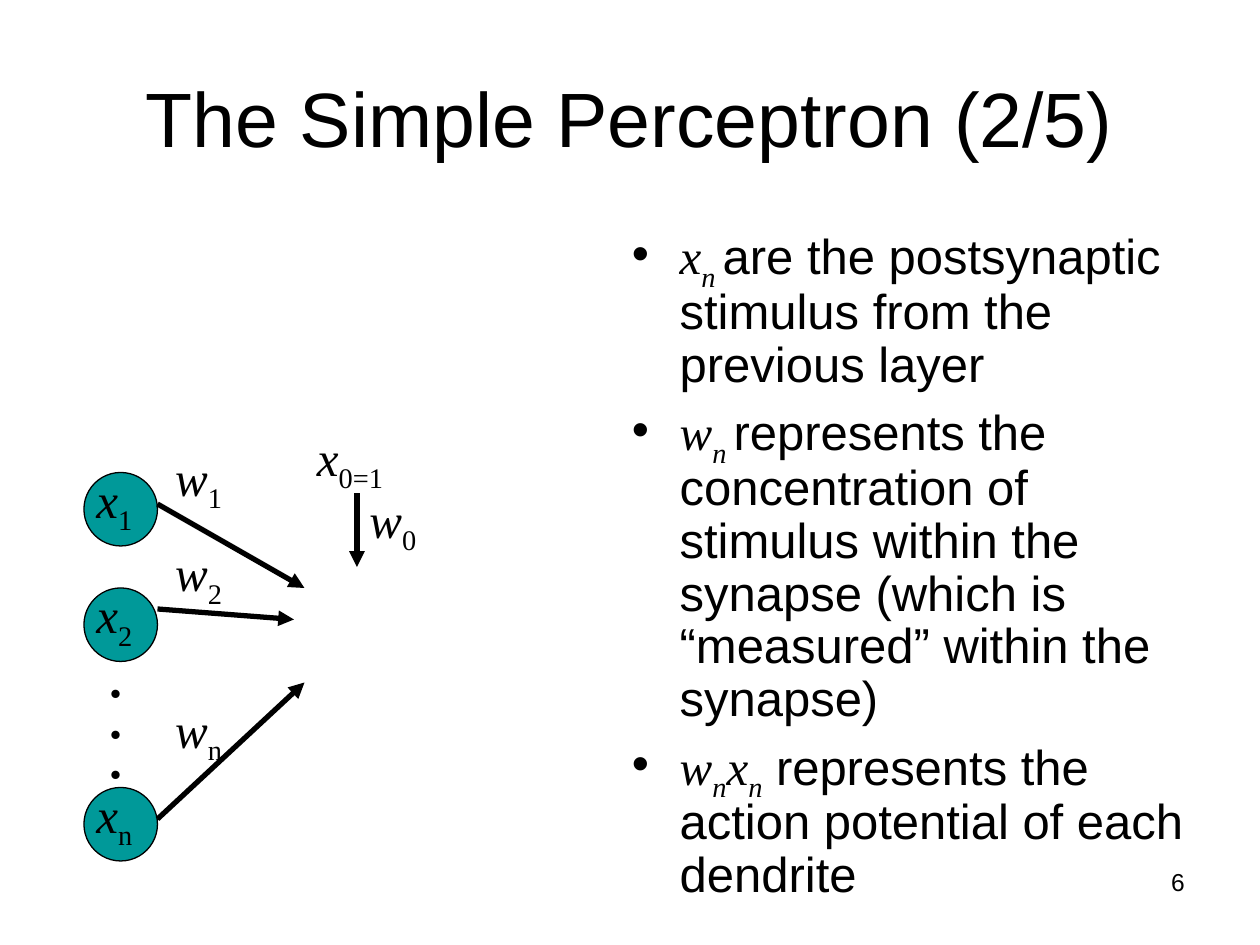
from lxml.etree import SubElement
from pptx import Presentation
from pptx.dml.color import RGBColor
from pptx.enum.shapes import MSO_CONNECTOR as Connector, MSO_SHAPE as Shape
from pptx.enum.text import MSO_ANCHOR as Anchor, PP_ALIGN as Align
from pptx.oxml.ns import qn
from pptx.util import Inches, Pt

COLUMNS, ROWS = 120, 90
WIDTH, HEIGHT = Inches(10), Inches(7.5)
BLACK, TEAL = "000000", "009999"
SANS = {"name": "Arial", "size": Pt(28)}
SERIF = {"name": "Times New Roman", "size": Pt(28)}
ITALIC = {**SERIF, "italic": True}
TITLE = {**SANS, "size": Pt(44)}
NUMBER = {**SANS, "size": Pt(14)}
DOT = {**SERIF, "size": Pt(40)}
SUBSCRIPT = "-25000"

BULLETS = [
    [("x", ITALIC), ("n ", ITALIC, SUBSCRIPT),
     ("are the postsynaptic stimulus from the previous layer", SANS)],
    [("w", ITALIC), ("n ", ITALIC, SUBSCRIPT),
     ("represents the concentration of stimulus within the synapse "
      "(which is “measured” within the synapse)", SANS)],
    [("w", ITALIC), ("n", ITALIC, SUBSCRIPT), ("x", ITALIC), ("n", ITALIC, SUBSCRIPT),
     (" represents the action potential of each dendrite", SANS)],
]
INPUTS = [("1", 45), ("2", 56), ("n", 75)]
LABELS = [("w", "1", 15.5, 42, 7), ("w", "2", 15.5, 51.1, 7), ("w", "n", 15.5, 66, 7),
          ("w", "0", 34, 46, 7), ("x", "0=1", 29, 40.1, 9.5)]
ARROWS = [(15, 48, 29, 56), (15, 58, 28, 59), (15, 78, 29, 65), (34, 47, 34, 54)]


def color(value):
    """Turn a hex string into a colour."""
    return RGBColor.from_string(value)


def grid(*cells):
    """Turn alternating columns and rows into lengths."""
    units = (WIDTH / COLUMNS, HEIGHT / ROWS)
    return [round(cell * units[index % 2]) for index, cell in enumerate(cells)]


def set_all(target, values):
    """Set every attribute in the dict on the target."""
    for name, value in values.items():
        setattr(target, name, value)


def fill_paragraph(paragraph, pieces, **layout):
    """Write the formatted runs of one paragraph."""
    set_all(paragraph, layout)
    for text, font, *baseline in pieces:
        run = paragraph.add_run()
        run.text = text
        set_all(run.font, font)
        run.font.color.rgb = color(BLACK)
        if baseline:
            run._r.get_or_add_rPr().set("baseline", baseline[0])


def add_text(slide, cells, paragraphs, wrap=False):
    """Add a text box with one (pieces, layout) pair per paragraph."""
    frame = slide.shapes.add_textbox(*grid(*cells)).text_frame
    frame.word_wrap = wrap
    for index, (pieces, layout) in enumerate(paragraphs):
        paragraph = frame.add_paragraph() if index else frame.paragraphs[0]
        fill_paragraph(paragraph, pieces, **layout)
    return frame


def add_title(slide, text):
    """Place and format the title placeholder."""
    title = slide.shapes.title
    set_all(title, dict(zip(("left", "top", "width", "height"), grid(6, 3.6, 108, 15))))
    title.text_frame.vertical_anchor = Anchor.MIDDLE
    fill_paragraph(title.text_frame.paragraphs[0], [(text, TITLE)], alignment=Align.CENTER)


def add_bullets(slide, cells, items):
    """Add a bulleted list with hanging indents."""
    frame = add_text(slide, cells, [(item, {"line_spacing": 0.9}) for item in items], wrap=True)
    for paragraph in frame.paragraphs:
        properties = paragraph._p.get_or_add_pPr()
        properties.set("marL", str(Inches(0.38)))
        properties.set("indent", str(-Inches(0.38)))
        spacing = SubElement(properties, qn("a:spcBef"))
        SubElement(spacing, qn("a:spcPct"), val="20000")
        SubElement(properties, qn("a:buFont"), typeface="Arial")
        SubElement(properties, qn("a:buChar"), char="•")


def add_label(slide, letter, index, left, top, width):
    """Add a variable with its subscript."""
    pieces = [(letter, ITALIC), (index, SERIF, SUBSCRIPT)]
    add_text(slide, (left, top, width, 6.8), [(pieces, {})])


def add_input(slide, index, top):
    """Add an input neuron with its label."""
    neuron = slide.shapes.add_shape(Shape.OVAL, *grid(8, top, 7, 7))
    neuron.shadow.inherit = False
    neuron.fill.solid()
    neuron.fill.fore_color.rgb = color(TEAL)
    neuron.line.color.rgb = color(BLACK)
    neuron.line.width = Pt(0.75)
    add_label(slide, "x", index, 8, top - 0.9, 6.1)


def add_arrow(slide, *ends):
    """Add a straight arrow between two grid points."""
    arrow = slide.shapes.add_connector(Connector.STRAIGHT, *grid(*ends))
    arrow.line.color.rgb = color(BLACK)
    arrow.line.width = Pt(3)
    SubElement(arrow.line._get_or_add_ln(), qn("a:tailEnd"), type="triangle")
    SubElement(arrow._element.spPr, qn("a:effectLst"))


def main():
    """Build the slide and save it."""
    presentation = Presentation()
    set_all(presentation, {"slide_width": WIDTH, "slide_height": HEIGHT})
    slide = presentation.slides.add_slide(presentation.slide_layouts[5])
    add_title(slide, "The Simple Perceptron (2/5)")
    add_bullets(slide, (59, 21, 55, 64), BULLETS)
    for index, top in INPUTS:
        add_input(slide, index, top)
    for ends in ARROWS:
        add_arrow(slide, *ends)
    dots = [([(".", DOT)], {"line_spacing": spacing}) for spacing in (1.0, 0.4, 0.5)]
    add_text(slide, (9, 59.2, 4.1, 17.2), dots)
    for label in LABELS:
        add_label(slide, *label)
    add_text(slide, (86, 82, 28, 6.2), [([("6", NUMBER)], {"alignment": Align.RIGHT})], wrap=True)
    presentation.save("out.pptx")


if __name__ == "__main__":
    main()
